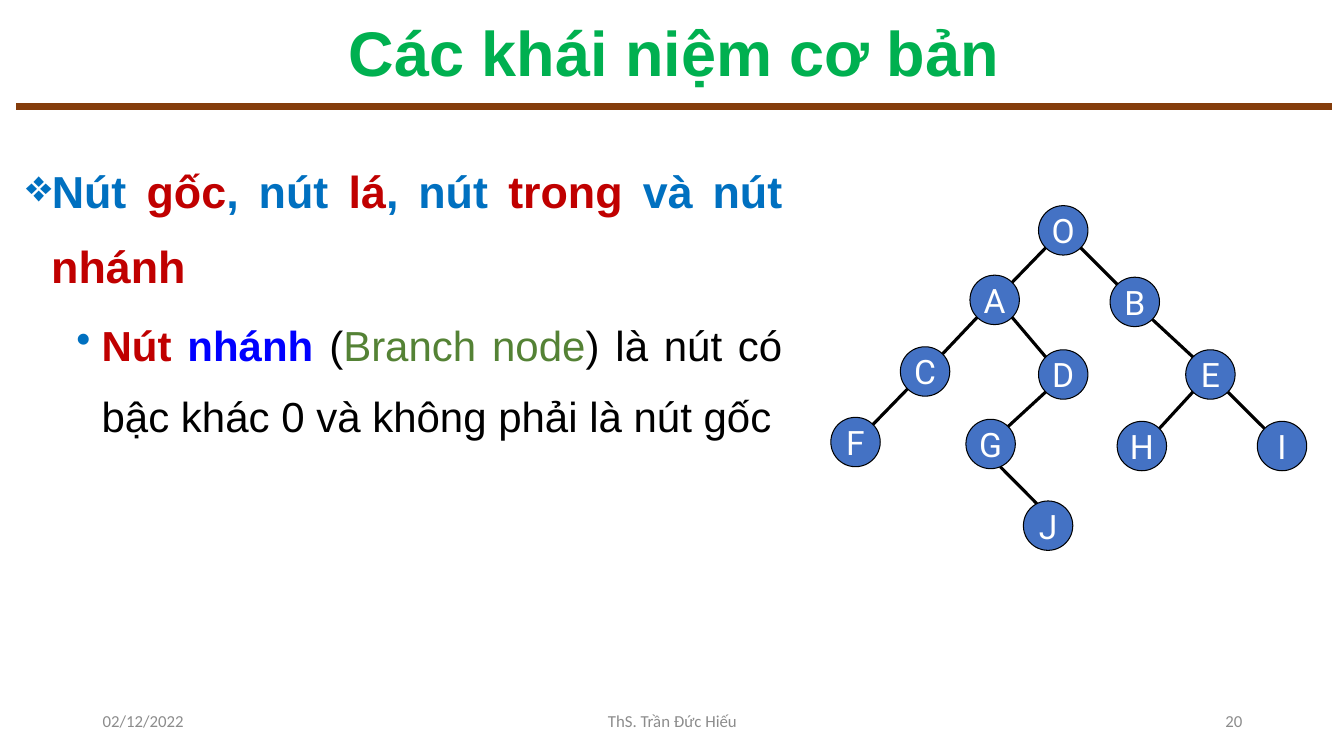
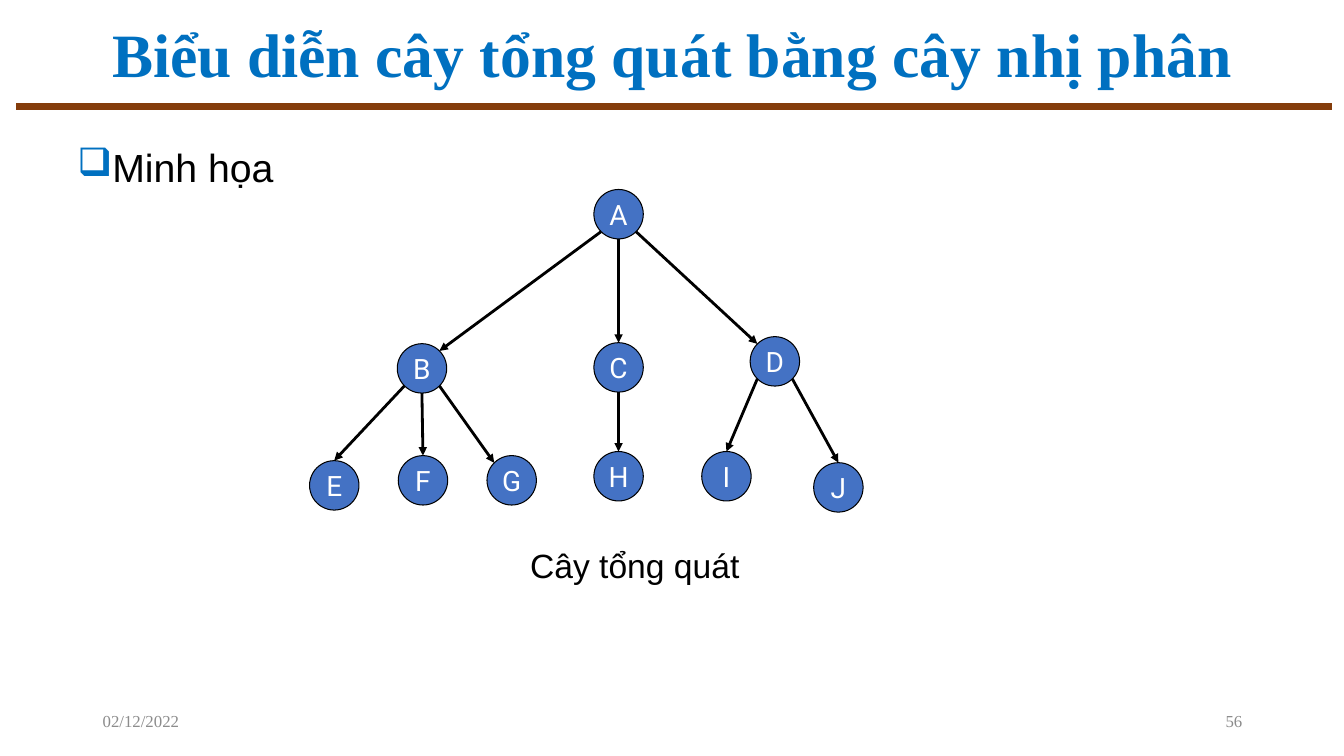
"""Builds two lecture slides about trees."""
import math
from pptx import Presentation
from pptx import util as u
from pptx.dml import color
from pptx.enum import shapes, text
from pptx.oxml import ns
from lxml import etree

COLORS = {
    "rule": "843C0B", "green": "00B050", "blue": "0070C0", "red": "C00000",
    "strong": "0000FF", "term": "548235", "black": "000000", "white": "FFFFFF",
    "footer": "8C8C8C", "node": "4472C4",
}
NODE_SIZE = 0.49
ANGLES = {"e": 0, "se": 45, "sse": 67, "s": 90, "sw": 135,
          "nw": 225, "nnw": 243, "n": 270, "ne": 315}
ALIGN = text.PP_ALIGN


def rgb(name):
    return color.RGBColor.from_string(COLORS[name])


def add_xml(parent, tag, **attributes):
    return etree.SubElement(parent, ns.qn(tag), attributes)


class Deck:
    """Holds the shared style and the slide being built."""

    def __init__(self):
        self.presentation = Presentation()
        self.presentation.slide_width = u.Inches(13.33)
        self.presentation.slide_height = u.Inches(7.5)
        self.slide = None

    def new_slide(self):
        layout = self.presentation.slide_layouts[6]
        self.slide = self.presentation.slides.add_slide(layout)
        self.line((0.16, 1.06), (13.21, 1.06), "rule", 5)

    def line(self, start, end, color_name="black", width=2.25, arrow=False):
        connector = self.slide.shapes.add_connector(
            shapes.MSO_CONNECTOR.STRAIGHT, *map(u.Inches, start + end))
        connector.line.color.rgb = rgb(color_name)
        connector.line.width = u.Pt(width)
        if arrow:
            add_xml(connector.line._get_or_add_ln(), "a:tailEnd", type="triangle")
        add_xml(connector._element.spPr, "a:effectLst")
        return connector

    def run(self, paragraph, words, color_name, **formats):
        run = paragraph.add_run()
        run.text = words
        for name, value in formats.items():
            setattr(run.font, name, value)
        run.font.color.rgb = rgb(color_name)

    def frame(self, box, anchor=text.MSO_ANCHOR.TOP, wrap=True):
        shape = self.slide.shapes.add_textbox(*map(u.Inches, box))
        shape.text_frame.word_wrap = wrap
        shape.text_frame.vertical_anchor = anchor
        return shape.text_frame

    def label(self, box, words, color_name, size, font, align=ALIGN.LEFT,
              spacing=None, bold=False, wrap=True, anchor=text.MSO_ANCHOR.MIDDLE):
        paragraph = self.frame(box, anchor, wrap).paragraphs[0]
        paragraph.alignment = align
        paragraph.line_spacing = spacing
        self.run(paragraph, words, color_name, size=u.Pt(size), name=font, bold=bold)

    def title(self, box, words, color_name, size, font):
        self.label(box, words, color_name, size, font, ALIGN.CENTER, 0.9, True)

    def footer(self, font, number, author=None):
        items = [(0.92, 3, "02/12/2022", ALIGN.LEFT), (4.42, 4.5, author, ALIGN.CENTER),
                 (9.42, 3, number, ALIGN.RIGHT)]
        for left, width, words, align in items:
            if words:
                self.label((left, 6.95, width, 0.4), words, "footer", 12, font, align)

    def body(self, box, items):
        frame = self.frame(box)
        for index, (level, bullet, size, runs) in enumerate(items):
            paragraph = frame.add_paragraph() if index else frame.paragraphs[0]
            formats = {"alignment": ALIGN.JUSTIFY, "level": level, "line_spacing": 1.4,
                       "space_before": u.Pt(5 if index else 0)}
            for name, value in formats.items():
                setattr(paragraph, name, value)
            properties = paragraph._p.get_or_add_pPr()
            properties.set("marL", str(u.Inches(0.25 + 0.5 * level)))
            properties.set("indent", str(u.Inches(-0.25)))
            add_xml(add_xml(properties, "a:buClr"), "a:srgbClr", val=COLORS["blue"])
            add_xml(properties, "a:buChar", char=bullet)
            for words, color_name, bold in runs:
                self.run(paragraph, words, color_name, size=u.Pt(size), name="Arial", bold=bold)

    def node(self, name, left, top, size):
        shape = self.slide.shapes.add_shape(
            shapes.MSO_SHAPE.OVAL, *map(u.Inches, (left, top, NODE_SIZE, NODE_SIZE)))
        shape.shadow.inherit = False
        shape.fill.solid()
        shape.fill.fore_color.rgb = rgb("node")
        shape.line.color.rgb = rgb("black")
        shape.line.width = u.Pt(0.75)
        frame = shape.text_frame
        frame.word_wrap = False
        frame.vertical_anchor = text.MSO_ANCHOR.MIDDLE
        frame.paragraphs[0].alignment = ALIGN.CENTER
        self.run(frame.paragraphs[0], name, "white", size=u.Pt(size), name="Roboto")
        return shape

    def tree(self, places, edges, size, width, arrow=False):
        nodes = {name: self.node(name, *place, size) for name, place in places.items()}

        def rim(name, side):
            angle, radius = math.radians(ANGLES[side]), NODE_SIZE / 2
            left, top = places[name]
            return (left + radius * (1 + math.cos(angle)),
                    top + radius * (1 + math.sin(angle)))

        for parent, child, start, end in edges:
            connector = self.line(rim(parent, start), rim(child, end), "black", width, arrow)
            if end == "n":
                connector.end_connect(nodes[child], 0)


def basic_concepts(deck):
    deck.new_slide()
    deck.title((0.16, 0.15, 13.05, 0.81), "Các khái niệm cơ bản", "green", 45, "Arial")
    deck.body((0.16, 1.36, 7.7, 6.05), [
        (0, "❖", 32, [
            ("Nút ", "blue", True), ("gốc", "red", True), (", nút ", "blue", True),
            ("lá", "red", True), (", nút ", "blue", True), ("trong", "red", True),
            (" và nút ", "blue", True), ("nhánh", "red", True)]),
        (1, "•", 30, [
            ("Nút ", "red", True), ("nhánh ", "strong", True), ("(", "black", False),
            ("Branch node", "term", False),
            (") là nút có bậc khác 0 và không phải là nút gốc", "black", False)]),
    ])
    deck.footer("Calibri", "20", "ThS. Trần Đức Hiếu")
    places = {
        "O": (10.3, 2.04), "A": (9.62, 2.73), "B": (11.01, 2.75), "C": (8.93, 3.44),
        "D": (10.3, 3.47), "E": (11.76, 3.47), "F": (8.24, 4.14), "G": (9.58, 4.16),
        "H": (11.08, 4.18), "I": (12.47, 4.18), "J": (10.15, 4.97),
    }
    edges = [(*pair, "sw", "ne") for pair in ("OA", "AC", "CF", "DG", "EH")]
    edges += [(*pair, "se", "nw") for pair in ("OB", "AD", "BE", "EI")]
    edges.append(("G", "J", "sse", "nnw"))
    deck.tree(places, edges, 24, 2.25)


def general_tree(deck):
    deck.new_slide()
    deck.title((0.92, 0.17, 11.5, 0.81), "Biểu diễn cây tổng quát bằng cây nhị phân",
               "blue", 44, "Times New Roman")
    deck.body((0.67, 1.19, 12.06, 5.91), [(0, "❑", 28, [("Minh họa", "black", False)])])
    deck.footer("Times New Roman", "56")
    places = {
        "A": (5.89, 1.88), "B": (3.94, 3.41), "C": (5.89, 3.4), "D": (7.44, 3.34),
        "E": (3.07, 4.57), "F": (3.95, 4.52), "G": (4.83, 4.52), "H": (5.89, 4.48),
        "I": (6.96, 4.48), "J": (8.07, 4.59),
    }
    edges = [
        ("A", "B", "sw", "ne"), ("A", "C", "s", "n"), ("A", "D", "se", "nw"),
        ("B", "E", "sw", "n"), ("B", "F", "s", "n"), ("B", "G", "se", "nw"),
        ("C", "H", "s", "n"), ("D", "I", "sw", "n"), ("D", "J", "se", "n"),
    ]
    deck.tree(places, edges, 20, 2, arrow=True)
    deck.label((5.16, 5.36, 2.3, 0.5), "Cây tổng quát", "black", 24, "Arial",
               wrap=False, anchor=text.MSO_ANCHOR.TOP)


def main():
    deck = Deck()
    basic_concepts(deck)
    general_tree(deck)
    deck.presentation.save("out.pptx")


if __name__ == "__main__":
    main()
